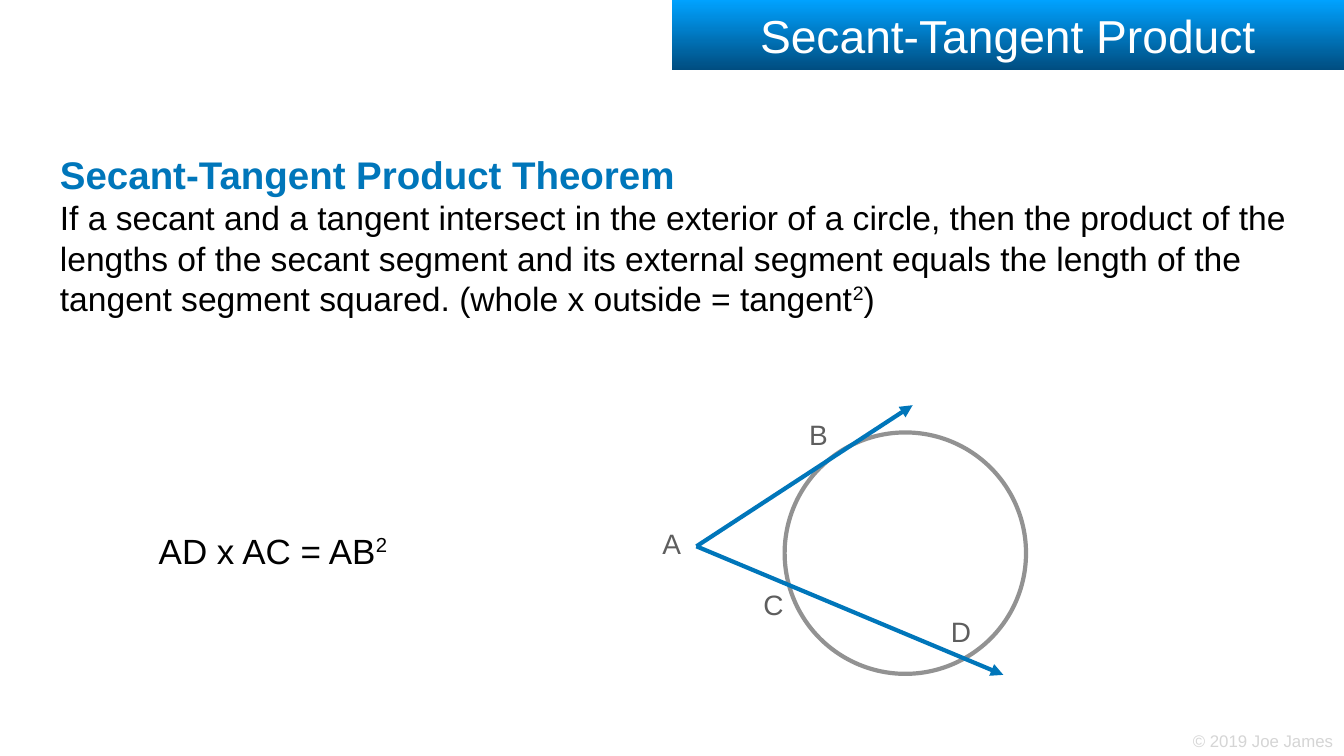
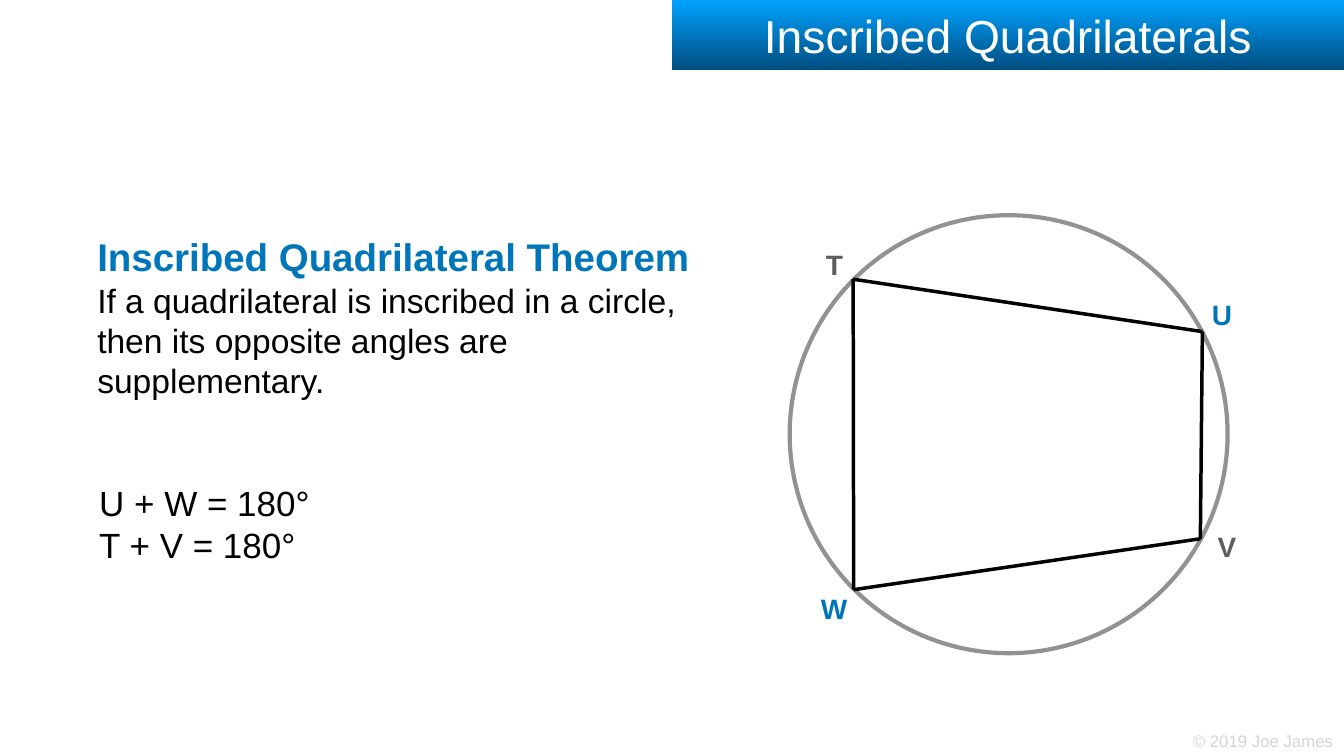
from itertools import pairwise
from lxml import etree
from pptx import Presentation
from pptx.dml.color import RGBColor
from pptx.enum.shapes import MSO_CONNECTOR, MSO_SHAPE
from pptx.enum.text import MSO_ANCHOR as ANCHOR, MSO_AUTO_SIZE as AUTO, PP_ALIGN as ALIGN
from pptx.oxml.ns import qn
from pptx.util import Inches, Pt

FONT = "Arial"
WHITE = RGBColor(0xFF, 0xFF, 0xFF)
BLACK = RGBColor(0, 0, 0)
BLUE = RGBColor(0x00, 0x76, 0xBA)
BAND_TOP = RGBColor(0x00, 0xA2, 0xFF)
BAND_BOTTOM = RGBColor(0x00, 0x4D, 0x80)
GRAY = RGBColor(0x92, 0x92, 0x92)
LABEL_GRAY = RGBColor(0x5E, 0x5E, 0x5E)
FOOTER_GRAY = RGBColor(0xD5, 0xD5, 0xD5)
LABEL_W, LABEL_H = 0.6, 0.76


def write(p, text, size=50, color=BLACK, bold=False, align=ALIGN.LEFT):
    p.alignment = align
    for i, part in enumerate(text.split("^")):
        r = p.add_run()
        r.text = part
        r.font.name = FONT
        r.font.size = Pt(size)
        r.font.bold = bold
        r.font.color.rgb = color
        if i % 2:
            r.font._element.set("baseline", "32000")


def frame(sp, anchor, wrap):
    tf = sp.text_frame
    tf.margin_left = tf.margin_right = tf.margin_top = tf.margin_bottom = Inches(0.06)
    tf.vertical_anchor = anchor
    tf.word_wrap = wrap
    return tf


def add_text(slide, box, lines, anchor=ANCHOR.TOP, wrap=False, **style):
    sp = slide.shapes.add_textbox(*map(Inches, box))
    tf = frame(sp, anchor, wrap)
    tf.auto_size = AUTO.SHAPE_TO_FIT_TEXT
    for i, line in enumerate(lines):
        write(tf.add_paragraph() if i else tf.paragraphs[0], line, **style)
    return tf


def add_theorem(slide, box, heading, statement):
    tf = add_text(slide, box, [heading], wrap=True, size=55, color=BLUE, bold=True)
    write(tf.add_paragraph(), statement, size=48)


def add_label(slide, letter, x, y, color=LABEL_GRAY, bold=False):
    box = (x - LABEL_W / 2, y - LABEL_H / 2, LABEL_W, LABEL_H)
    add_text(slide, box, [letter], anchor=ANCHOR.MIDDLE, size=40,
             color=color, bold=bold, align=ALIGN.CENTER)


def add_circle(slide, left, top, diameter):
    sp = slide.shapes.add_shape(
        MSO_SHAPE.OVAL, *map(Inches, (left, top, diameter, diameter)))
    sp.shadow.inherit = False
    sp.fill.background()
    sp.line.color.rgb = GRAY
    sp.line.width = Pt(6)


def add_line(slide, start, end, color, width, arrow=False):
    line = slide.shapes.add_connector(
        MSO_CONNECTOR.STRAIGHT, *map(Inches, (*start, *end)))
    line.line.color.rgb = color
    line.line.width = Pt(width)
    if arrow:
        etree.SubElement(line.line._get_or_add_ln(), qn("a:tailEnd"), type="triangle")
    etree.SubElement(line._element.spPr, qn("a:effectLst"))


def new_slide(prs, title):
    slide = prs.slides.add_slide(prs.slide_layouts[6])
    add_text(slide, (23.61, 14.45, 2.91, 0.49), ["© 2019 Joe James"],
             anchor=ANCHOR.MIDDLE, size=24, color=FOOTER_GRAY)
    sp = slide.shapes.add_shape(
        MSO_SHAPE.RECTANGLE, *map(Inches, (13.33, 0, 13.34, 1.39)))
    sp.shadow.inherit = False
    sp.line.fill.background()
    sp.fill.gradient()
    sp.fill.gradient_angle = 270
    for stop, color in zip(sp.fill.gradient_stops, (BAND_TOP, BAND_BOTTOM)):
        stop.color.rgb = color
    tf = frame(sp, ANCHOR.MIDDLE, True)
    write(tf.paragraphs[0], title, size=66, color=WHITE, align=ALIGN.CENTER)
    return slide


def secant_tangent_slide(prs):
    slide = new_slide(prs, "Secant-Tangent Product")
    add_theorem(
        slide, (1.13, 2.94, 24.7, 3.41), "Secant-Tangent Product Theorem",
        "If a secant and a tangent intersect in the exterior of a circle, then the "
        "product of the lengths of the secant segment and its external segment equals "
        "the length of the tangent segment squared. (whole x outside = tangent^2^)")
    add_circle(slide, 15.57, 8.58, 4.79)
    vertex = (13.82, 10.84)
    for tip in ((18.11, 8.04), (19.91, 13.39)):
        add_line(slide, vertex, tip, BLUE, 6, arrow=True)
    for letter, x, y in (("A", 13.33, 10.79), ("B", 16.24, 8.61),
                         ("C", 15.35, 12), ("D", 19.07, 12.52)):
        add_label(slide, letter, x, y)
    add_text(slide, (3.09, 10.44, 4.94, 0.93), ["AD x AC = AB^2"])


def quadrilateral_slide(prs):
    slide = new_slide(prs, "Inscribed Quadrilaterals")
    add_circle(slide, 15.67, 4.27, 8.69)
    corners = [(16.93, 5.54), (23.86, 6.58), (23.82, 10.69), (16.94, 11.7)]
    for start, end in pairwise(corners + corners[:1]):
        add_line(slide, start, end, BLACK, 5)
    add_theorem(
        slide, (1.87, 4.57, 12.22, 3.41), "Inscribed Quadrilateral Theorem",
        "If a quadrilateral is inscribed in a circle, then its opposite angles are "
        "supplementary.")
    for letter, x, y, color in (("T", 16.56, 5.24, LABEL_GRAY), ("U", 24.25, 6.24, BLUE),
                                ("V", 24.35, 10.83, LABEL_GRAY), ("W", 16.53, 12.07, BLUE)):
        add_label(slide, letter, x, y, color=color, bold=True)
    add_text(slide, (1.91, 9.5, 4.5, 1.76), ["U + W = 180°", "T + V = 180°"])


def main():
    prs = Presentation()
    prs.slide_width = Inches(26.67)
    prs.slide_height = Inches(15)
    secant_tangent_slide(prs)
    quadrilateral_slide(prs)
    prs.save("out.pptx")


if __name__ == "__main__":
    main()
